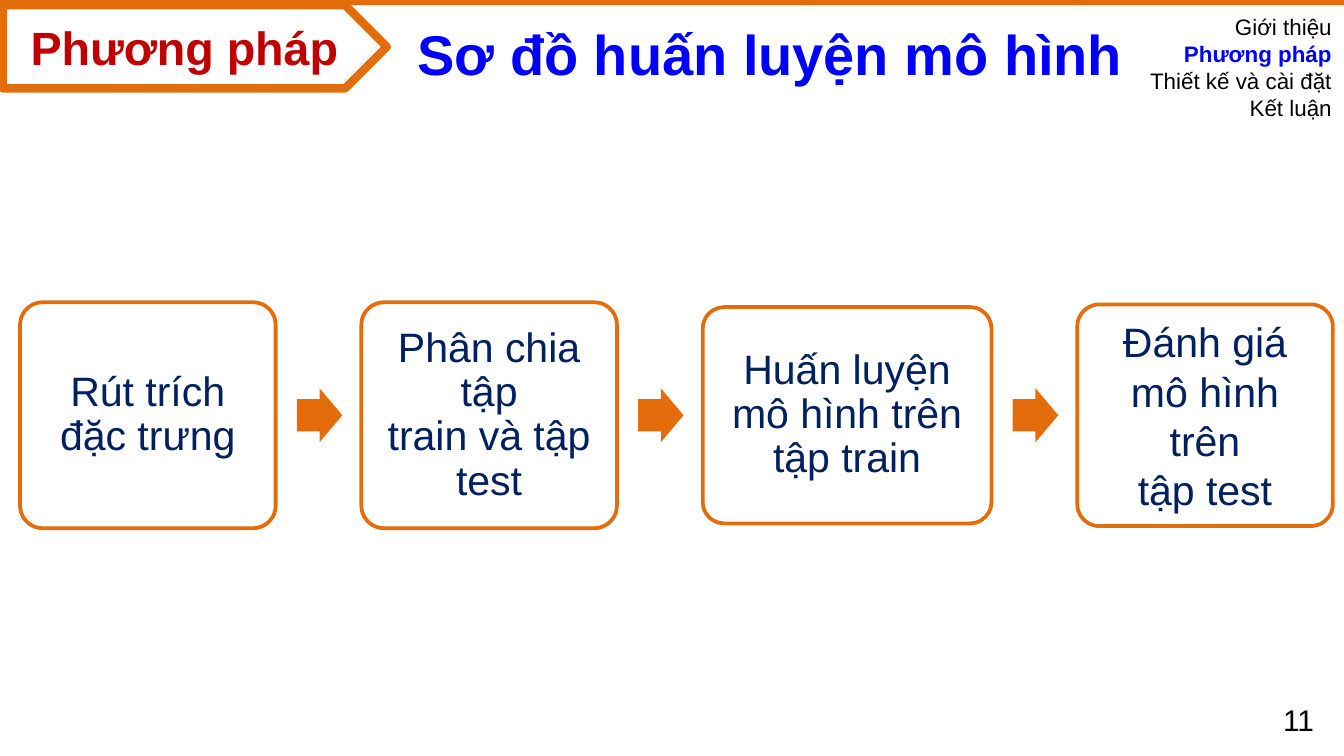
from pptx import Presentation
from pptx.dml.color import RGBColor
from pptx.enum.shapes import MSO_SHAPE as Shape
from pptx.enum.text import MSO_ANCHOR as Anchor, PP_ALIGN as Align
from pptx.util import Cm, Pt

ORANGE = RGBColor(0xE4, 0x6C, 0x0A)
WHITE = RGBColor(0xFF, 0xFF, 0xFF)
BLACK = RGBColor(0, 0, 0)
BLUE = RGBColor(0, 0, 0xFF)
RED = RGBColor(0xC0, 0, 0)
NAVY = RGBColor(0, 0x20, 0x60)

SECTION = "Phương pháp"
AGENDA = ["Giới thiệu", SECTION, "Thiết kế và cài đặt", "Kết luận"]

# Text with its line breaks, box width, box height, line spacing
STEPS = [
    ("Rút trích\vđặc trưng", 4.83, 4.27, 0.9),
    ("Phân chia\vtập\vtrain và tập\vtest", 4.83, 4.27, 0.9),
    ("Huấn luyện\vmô hình trên\vtập train", 5.46, 4.09, 0.9),
    ("Đánh giá\vmô hình\vtrên\vtập test", 4.83, 4.19, 1.0),
]
STEP_LEFT, STEP_GAP, STEP_MIDDLE = 0.38, 1.62, 7.85
ARROW_W, ARROW_H, ARROW_OFFSET = 0.86, 1.02, 0.4


def style(p, size, color, bold=False, align=Align.CENTER):
    p.alignment = align
    p.font.name = "Arial"
    p.font.size = Pt(size)
    p.font.bold = bold
    p.font.color.rgb = color


def add_shape(s, kind, x, y, w, h, fill=ORANGE, line_width=None):
    sp = s.shapes.add_shape(kind, Cm(x), Cm(y), Cm(w), Cm(h))
    sp.shadow.inherit = False
    sp.fill.solid()
    sp.fill.fore_color.rgb = fill
    if line_width:
        sp.line.color.rgb = ORANGE
        sp.line.width = Pt(line_width)
    else:
        sp.line.fill.background()
    return sp


def add_text(s, x, y, w, h, lines, size, align, highlight=None):
    tf = s.shapes.add_textbox(Cm(x), Cm(y), Cm(w), Cm(h)).text_frame
    tf.word_wrap = True
    tf.text = "\n".join(lines)
    for p in tf.paragraphs:
        marked = p.text == highlight
        style(p, size, BLUE if marked else BLACK, marked, align)


def add_title(s, text):
    title = s.shapes.title
    title.left, title.top, title.width, title.height = Cm(7.6), Cm(0.23), Cm(13.92), Cm(1.55)
    title.text_frame.text = text
    style(title.text_frame.paragraphs[0], 30, BLUE, True)


def add_header(s):
    for i in range(5):
        add_shape(s, Shape.RECTANGLE, 5.08 * i, -0.08, 5.1, 0.18)
    tag = add_shape(s, Shape.PENTAGON, 0.05, 0.1, 7.26, 1.57, WHITE, 4.5)
    tag.text_frame.text = SECTION
    style(tag.text_frame.paragraphs[0], 25, RED, True)


def add_step(s, x, text, w, h, spacing):
    box = add_shape(s, Shape.ROUNDED_RECTANGLE, x, STEP_MIDDLE - h / 2, w, h, WHITE, 2)
    box.adjustments[0] = 0.1
    tf = box.text_frame
    tf.vertical_anchor = Anchor.MIDDLE
    tf.margin_left = tf.margin_right = tf.margin_top = tf.margin_bottom = Cm(0.23)
    tf.text = text
    p = tf.paragraphs[0]
    style(p, 22, NAVY)
    p.line_spacing = spacing


def add_flow(s):
    x = STEP_LEFT
    for i, (text, w, h, spacing) in enumerate(STEPS):
        if i:
            arrow = add_shape(s, Shape.RIGHT_ARROW, x - STEP_GAP + ARROW_OFFSET,
                              STEP_MIDDLE - ARROW_H / 2, ARROW_W, ARROW_H)
            arrow.adjustments[0] = 0.6
        add_step(s, x, text, w, h, spacing)
        x += w + STEP_GAP


def main():
    prs = Presentation()
    prs.slide_width, prs.slide_height = Cm(25.4), Cm(14.29)
    s = prs.slides.add_slide(prs.slide_layouts[5])

    # Header
    add_title(s, "Sơ đồ huấn luyện mô hình")
    add_header(s)

    # Training steps
    add_flow(s)

    # Agenda and page number
    add_text(s, 21.1, 0.13, 4.32, 2.31, AGENDA, 12, Align.RIGHT, SECTION)
    add_text(s, 24, 13.13, 1.3, 0.94, ["11"], 16, Align.LEFT)

    prs.save("out.pptx")


if __name__ == "__main__":
    main()
